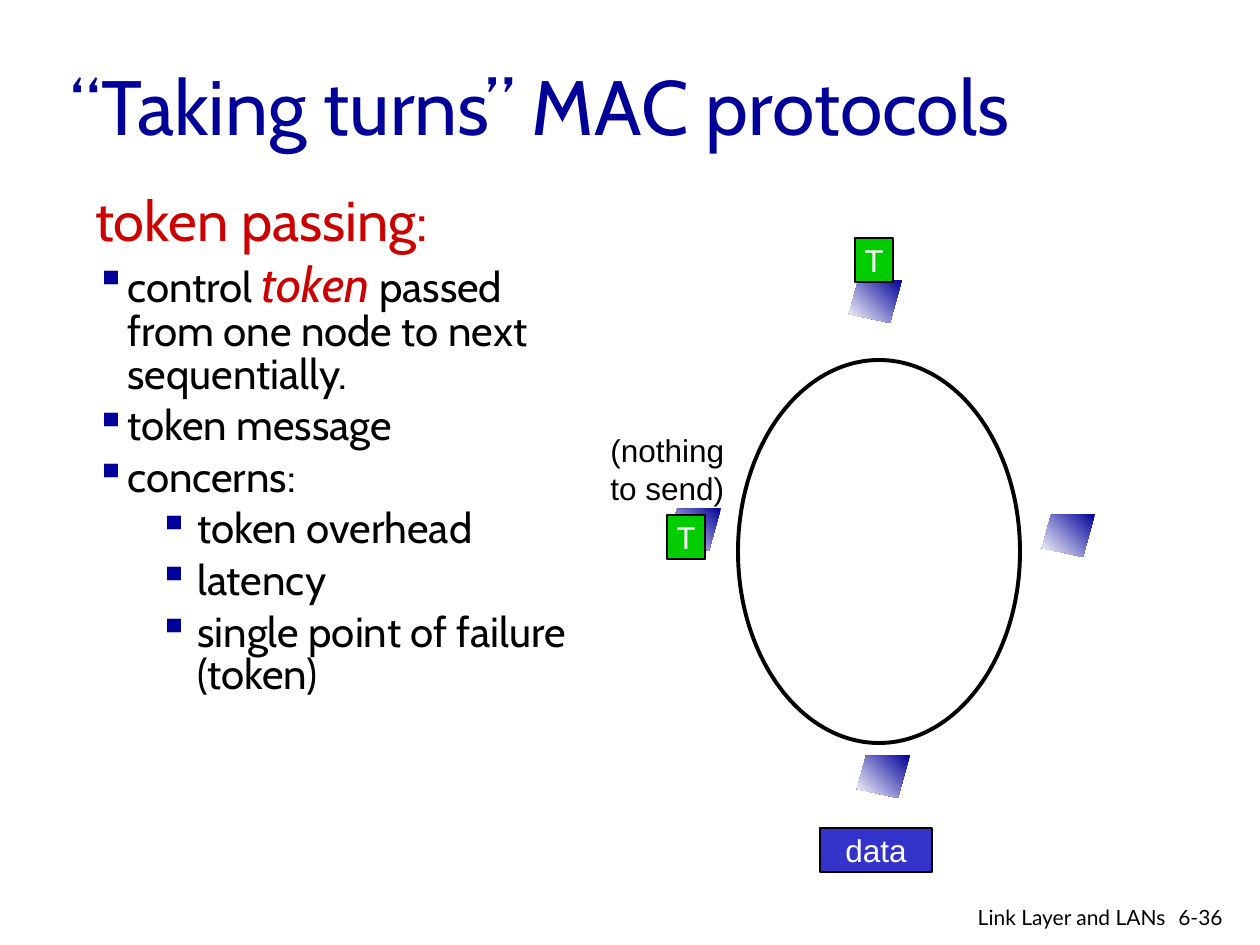
from dataclasses import dataclass

from lxml.etree import SubElement
from pptx import Presentation
from pptx.dml.color import RGBColor
from pptx.enum.shapes import MSO_SHAPE
from pptx.enum.text import MSO_ANCHOR, MSO_AUTO_SIZE, PP_ALIGN
from pptx.oxml.ns import qn
from pptx.util import Pt

PX = 914400 / 126


@dataclass(frozen=True)
class Theme:
    """Colours, fonts and type sizes of the slide."""
    navy: str = "000099"
    red: str = "CC0000"
    green: str = "00CC00"
    blue: str = "3333CC"
    black: str = "000000"
    white: str = "FFFFFF"
    text_font: str = "Cabin"
    label_font: str = "Arial"
    footer_font: str = "Lato"
    title_size: int = 44
    heading_size: int = 32
    emphasis_size: int = 28
    body_size: int = 24
    label_size: int = 18
    footer_size: int = 12


THEME = Theme()


def emu(*lengths):
    """Turn px lengths into EMU."""
    return [round(length * PX) for length in lengths]


def style(font, name, size, color, italic=None):
    """Set the face, size and colour of a font."""
    font.name, font.size, font.italic = name, Pt(size), italic
    font.color.rgb = RGBColor.from_string(color)


def add_bullet(paragraph, margin, indent):
    """Give a paragraph a navy square bullet with a hanging indent."""
    properties = paragraph._p.get_or_add_pPr()
    left, hang = emu(margin, indent)
    properties.set("marL", str(left))
    properties.set("indent", str(-hang))
    color = SubElement(properties, qn("a:buClr"))
    SubElement(color, qn("a:srgbClr"), val=THEME.navy)
    SubElement(properties, qn("a:buChar"), char="▪")


def add_title(slide, box, wording):
    """Place the title placeholder."""
    title = slide.shapes.title
    title.left, title.top, title.width, title.height = emu(*box)
    frame = title.text_frame
    frame.text = wording
    frame.auto_size = MSO_AUTO_SIZE.NONE
    frame.vertical_anchor = MSO_ANCHOR.MIDDLE
    heading = frame.paragraphs[0]
    heading.alignment = PP_ALIGN.LEFT
    style(heading.font, THEME.text_font, THEME.title_size, THEME.navy)


def add_points(slide, box, heading, points):
    """Place the heading and its two levels of bullet points."""
    frame = slide.shapes.add_textbox(*emu(*box)).text_frame
    frame.word_wrap = True
    lead = frame.paragraphs[0]
    lead.text, lead.line_spacing = heading, 0.85
    style(lead.font, THEME.text_font, THEME.heading_size, THEME.red)
    for level, pieces in points:
        point = frame.add_paragraph()
        point.level = level
        add_bullet(point, *((32, 32), (102, 39))[level])
        point.line_spacing, point.space_before = 0.85, Pt(5)
        if len(pieces) == 1:
            point.text = pieces[0]
            style(point.font, THEME.text_font, THEME.body_size, THEME.black)
            continue
        for index, piece in enumerate(pieces):
            run = point.add_run()
            run.text = piece
            if index % 2:
                style(run.font, THEME.text_font, THEME.emphasis_size, THEME.red, True)
            else:
                style(run.font, THEME.text_font, THEME.body_size, THEME.black)


def add_label(slide, box, lines, font, size, alignment=PP_ALIGN.LEFT, wrap=True):
    """Place plain black text, one paragraph a line."""
    frame = slide.shapes.add_textbox(*emu(*box)).text_frame
    frame.word_wrap = wrap
    frame.text = "\n".join(lines)
    for line in frame.paragraphs:
        line.alignment = alignment
        style(line.font, font, size, THEME.black)


def add_node(slide, left, top):
    """Draw one shaded station of the ring."""
    corners = [(left + x, top + y) for x, y in ((53, 0), (9, 1), (0, 34), (41, 43))]
    builder = slide.shapes.build_freeform(*corners[0], scale=PX)
    builder.add_line_segments(corners[1:], close=True)
    node = builder.convert_to_shape()
    node.shadow.inherit = False
    node.line.fill.background()
    node.fill.gradient()
    node.fill.gradient_angle = 225
    for stop, color in zip(node.fill.gradient_stops, (THEME.navy, THEME.white)):
        stop.color.rgb = RGBColor.from_string(color)


def add_outlined(slide, kind, box, line_width):
    """Draw an unfilled preset shape with a black outline."""
    shape = slide.shapes.add_shape(kind, *emu(*box))
    shape.shadow.inherit = False
    shape.fill.background()
    shape.line.color.rgb = RGBColor.from_string(THEME.black)
    shape.line.width = Pt(line_width)
    return shape


def add_packet(slide, box, wording, color):
    """Draw a filled box for a token or data."""
    packet = add_outlined(slide, MSO_SHAPE.RECTANGLE, box, 0.75)
    packet.fill.solid()
    packet.fill.fore_color.rgb = RGBColor.from_string(color)
    frame = packet.text_frame
    frame.text, frame.word_wrap = wording, False
    frame.vertical_anchor = MSO_ANCHOR.MIDDLE
    label = frame.paragraphs[0]
    label.alignment = PP_ALIGN.CENTER
    style(label.font, THEME.label_font, THEME.label_size, THEME.white)


def add_ring(slide, box):
    """Draw the token ring with its stations, tokens and data."""
    left, top, width, height = box
    for x, y in ((304, 154), (-70, 148), (111, -80), (119, 395)):
        add_node(slide, left + x, top + y)
    add_outlined(slide, MSO_SHAPE.OVAL, (left, top, width, height), 2.25)
    for x, y in ((117, -122), (-71, 155)):
        add_packet(slide, (left + x, top + y, 38, 44), "T", THEME.green)
    add_packet(slide, (left + 82, top + 468, 112, 44), "data", THEME.blue)
    add_label(slide, (left - 140, top + 65, 139, 88), ("(nothing", "to send)"),
              THEME.label_font, THEME.label_size, wrap=False)


def add_footer(slide, box, chapter, number):
    """Place the chapter name and the slide number."""
    left, top, width, height = box
    for x, span, wording, alignment in ((0, 300, chapter, PP_ALIGN.RIGHT),
                                        (288, width - 288, number, PP_ALIGN.LEFT)):
        add_label(slide, (left + x, top, span, height), (wording,),
                  THEME.footer_font, THEME.footer_size, alignment)


def main():
    """Build and save the slide."""
    deck = Presentation()
    deck.slide_width, deck.slide_height = emu(1260, 945)
    slide = deck.slides.add_slide(deck.slide_layouts[5])
    add_title(slide, (58, 26, 1071, 158), "“Taking turns” MAC protocols")
    add_points(slide, (83, 190, 518, 640), "token passing:", (
        (0, ("control ", "token", " passed from one node to next sequentially.")),
        (0, ("token message",)),
        (0, ("concerns:",)),
        (1, ("token overhead",)),
        (1, ("latency",)),
        (1, ("single point of failure (token)",)),
    ))
    add_ring(slide, (738, 360, 282, 383))
    add_footer(slide, (878, 898, 364, 35), "Link Layer and LANs", "6-36")
    deck.save("out.pptx")


if __name__ == "__main__":
    main()
